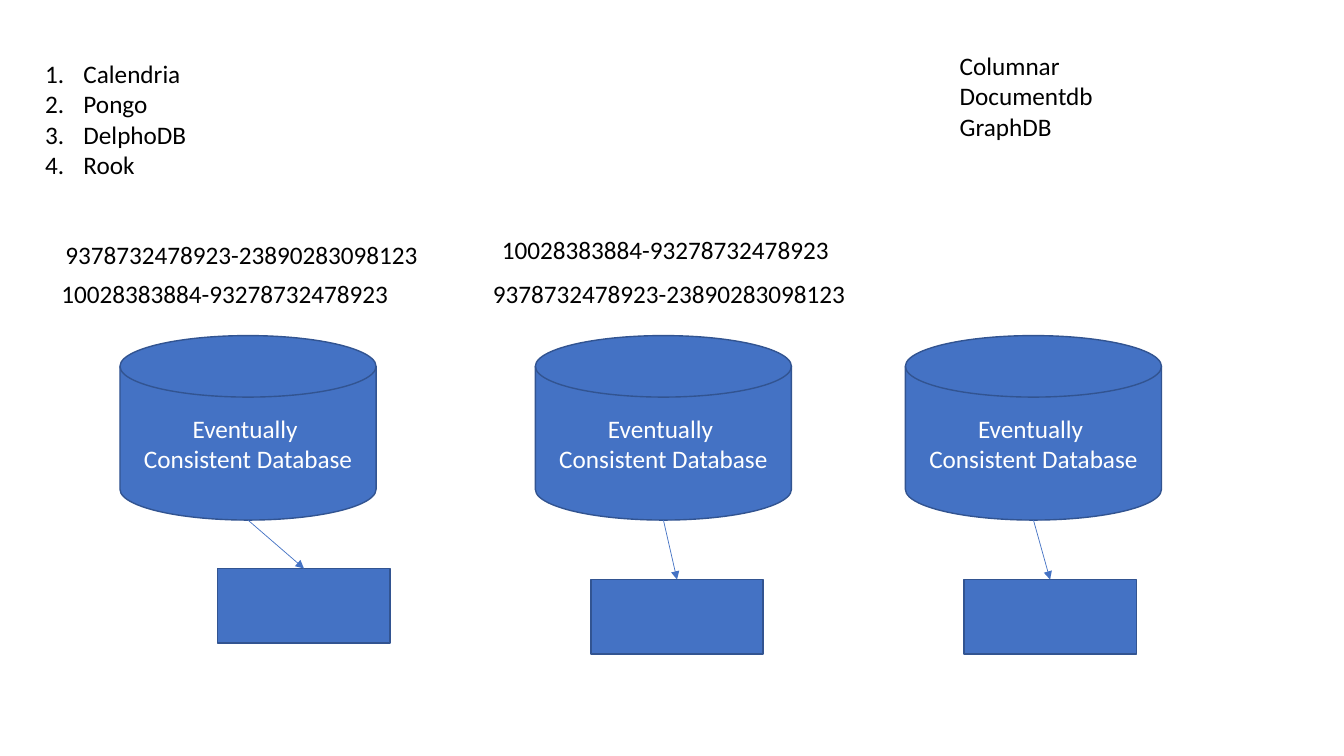
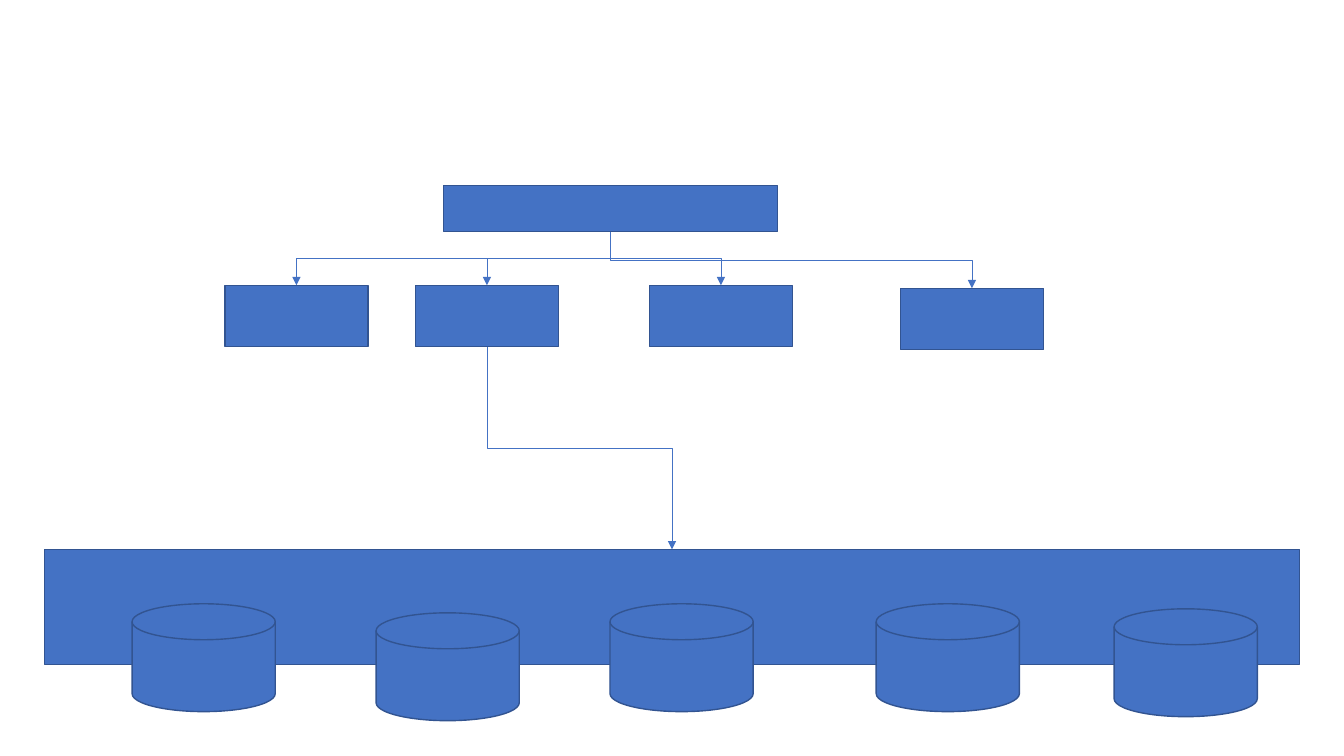
from dataclasses import dataclass

from lxml.etree import SubElement
from pptx import Presentation
from pptx.dml.color import RGBColor
from pptx.enum.shapes import MSO_CONNECTOR, MSO_SHAPE
from pptx.enum.text import MSO_ANCHOR, MSO_AUTO_SIZE, PP_ALIGN
from pptx.oxml.ns import qn
from pptx.util import Inches, Pt


@dataclass(frozen=True)
class Theme:
    """Colours, type and line widths shared by the slides."""

    fill: RGBColor = RGBColor.from_string("4472C4")
    outline: RGBColor = RGBColor.from_string("325491")
    dark_text: RGBColor = RGBColor.from_string("000000")
    light_text: RGBColor = RGBColor.from_string("FFFFFF")
    font: str = "Calibri"
    text_size: Pt = Pt(18)
    outline_width: Pt = Pt(1)
    arrow_width: Pt = Pt(0.5)


THEME = Theme()
TOP, BOTTOM = 0, 2


def apply_format(target, values):
    """Set each named attribute on the target."""
    for name, value in values.items():
        setattr(target, name, value)


def write_lines(frame, lines, color, align=None, numbered=False):
    """Write one paragraph per line, numbered if asked."""
    frame.text = "\n".join(lines)
    for para in frame.paragraphs:
        para.alignment = align
        for span in para.runs:
            apply_format(span.font, {"name": THEME.font, "size": THEME.text_size})
            span.font.color.rgb = color
        if numbered:
            properties = para._p.get_or_add_pPr()
            indent = Inches(0.38)
            properties.set("marL", str(indent))
            properties.set("indent", str(-indent))
            SubElement(properties, qn("a:buAutoNum"), type="arabicPeriod")


def add_text(page, area, lines, numbered=False):
    """Add a wrapping text box that fits its text."""
    box = page.shapes.add_textbox(*map(Inches, area))
    apply_format(box.text_frame, {"word_wrap": True,
                                  "auto_size": MSO_AUTO_SIZE.SHAPE_TO_FIT_TEXT})
    write_lines(box.text_frame, lines, THEME.dark_text, numbered=numbered)


def add_block(page, kind, area, lines=()):
    """Add a filled and outlined shape with centred text."""
    block = page.shapes.add_shape(kind, *map(Inches, area))
    block.shadow.inherit = False
    block.fill.solid()
    block.fill.fore_color.rgb = THEME.fill
    block.line.color.rgb = THEME.outline
    block.line.width = THEME.outline_width
    if lines:
        block.text_frame.vertical_anchor = MSO_ANCHOR.MIDDLE
        write_lines(block.text_frame, lines, THEME.light_text, PP_ALIGN.CENTER)
    return block


def add_arrow(page, kind, source, target):
    """Draw an arrow from the bottom of source to the top of target."""
    arrow = page.shapes.add_connector(
        kind, source.left + source.width // 2, source.top + source.height,
        target.left + target.width // 2, target.top)
    if source.auto_shape_type == MSO_SHAPE.RECTANGLE:
        arrow.begin_connect(source, BOTTOM)
    arrow.end_connect(target, TOP)
    arrow.line.color.rgb = THEME.fill
    arrow.line.width = THEME.arrow_width
    SubElement(arrow.line._get_or_add_ln(), qn("a:tailEnd"), type="triangle")
    SubElement(arrow.element.spPr, qn("a:effectLst"))
    return arrow


def add_elbow(page, source, target):
    """Draw an elbow arrow that leaves and arrives vertically."""
    arrow = add_arrow(page, MSO_CONNECTOR.ELBOW, source, target)
    across, down = arrow.end_x - arrow.begin_x, arrow.end_y - arrow.begin_y
    center_x = (arrow.begin_x + arrow.end_x) // 2
    center_y = (arrow.begin_y + arrow.end_y) // 2
    rightward = across > 0
    apply_format(arrow.element.spPr.xfrm, {
        "rot": 270 if rightward else 90, "flipH": rightward, "flipV": False})
    apply_format(arrow, {
        "left": center_x - down // 2, "top": center_y - abs(across) // 2,
        "width": down, "height": abs(across)})


def build_databases(page):
    """Show three databases, each pointing at a box, with key ranges."""
    add_text(page, (0.35, 0.53, 2.4, 1.31),
             ("Calendria", "Pongo", "DelphoDB", "Rook"), numbered=True)
    add_text(page, (9.42, 0.45, 1.85, 1.01), ("Columnar", "Documentdb", "GraphDB"))

    label = ("Eventually ", "Consistent Database")
    for disk_left, box_left, box_top in (
            (1.19, 2.16, 5.64), (5.31, 5.86, 5.75), (8.98, 9.56, 5.75)):
        disk = add_block(page, MSO_SHAPE.FLOWCHART_MAGNETIC_DISK,
                         (disk_left, 3.33, 2.54, 1.83), label)
        box = add_block(page, MSO_SHAPE.RECTANGLE, (box_left, box_top, 1.71, 0.74))
        add_arrow(page, MSO_CONNECTOR.STRAIGHT, disk, box)

    low_range = "10028383884-93278732478923"
    high_range = "9378732478923-23890283098123"
    for left, top, key_range in (
            (0.51, 2.71, low_range), (4.79, 2.71, high_range),
            (0.55, 2.33, high_range), (4.88, 2.28, low_range)):
        add_text(page, (left, top, 3.85, 0.4), (key_range,))


def build_cluster(page):
    """Show a root, its four children and a storage band of disks."""
    band = add_block(page, MSO_SHAPE.RECTANGLE, (0.44, 5.45, 12.45, 1.14))
    for left, top in ((1.31, 5.99), (3.73, 6.08), (6.05, 5.99),
                      (8.69, 5.99), (11.05, 6.04)):
        add_block(page, MSO_SHAPE.FLOWCHART_MAGNETIC_DISK, (left, top, 1.42, 1.07))

    children = [add_block(page, MSO_SHAPE.RECTANGLE, (left, top, 1.42, 0.61))
                for left, top in ((2.23, 2.83), (4.12, 2.83),
                                  (6.44, 2.83), (8.93, 2.86))]
    root = add_block(page, MSO_SHAPE.RECTANGLE, (4.4, 1.84, 3.31, 0.46))
    for child in children:
        add_elbow(page, root, child)
    add_elbow(page, children[1], band)


def main():
    """Build and save the deck."""
    deck = Presentation()
    apply_format(deck, {"slide_width": Inches(13.33), "slide_height": Inches(7.5)})
    blank = deck.slide_layouts[6]
    for build in (build_databases, build_cluster):
        build(deck.slides.add_slide(blank))
    deck.save("out.pptx")


if __name__ == "__main__":
    main()
